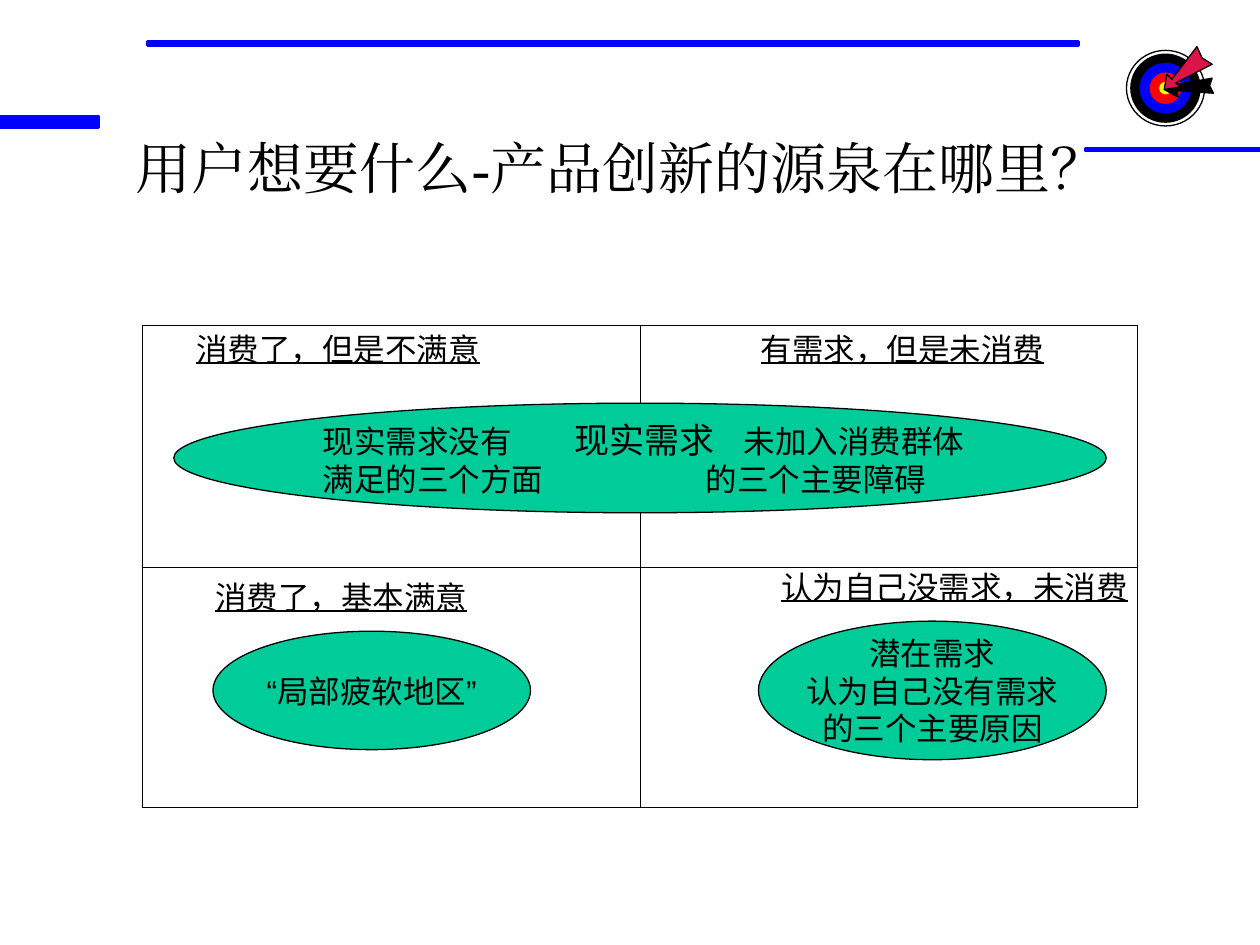
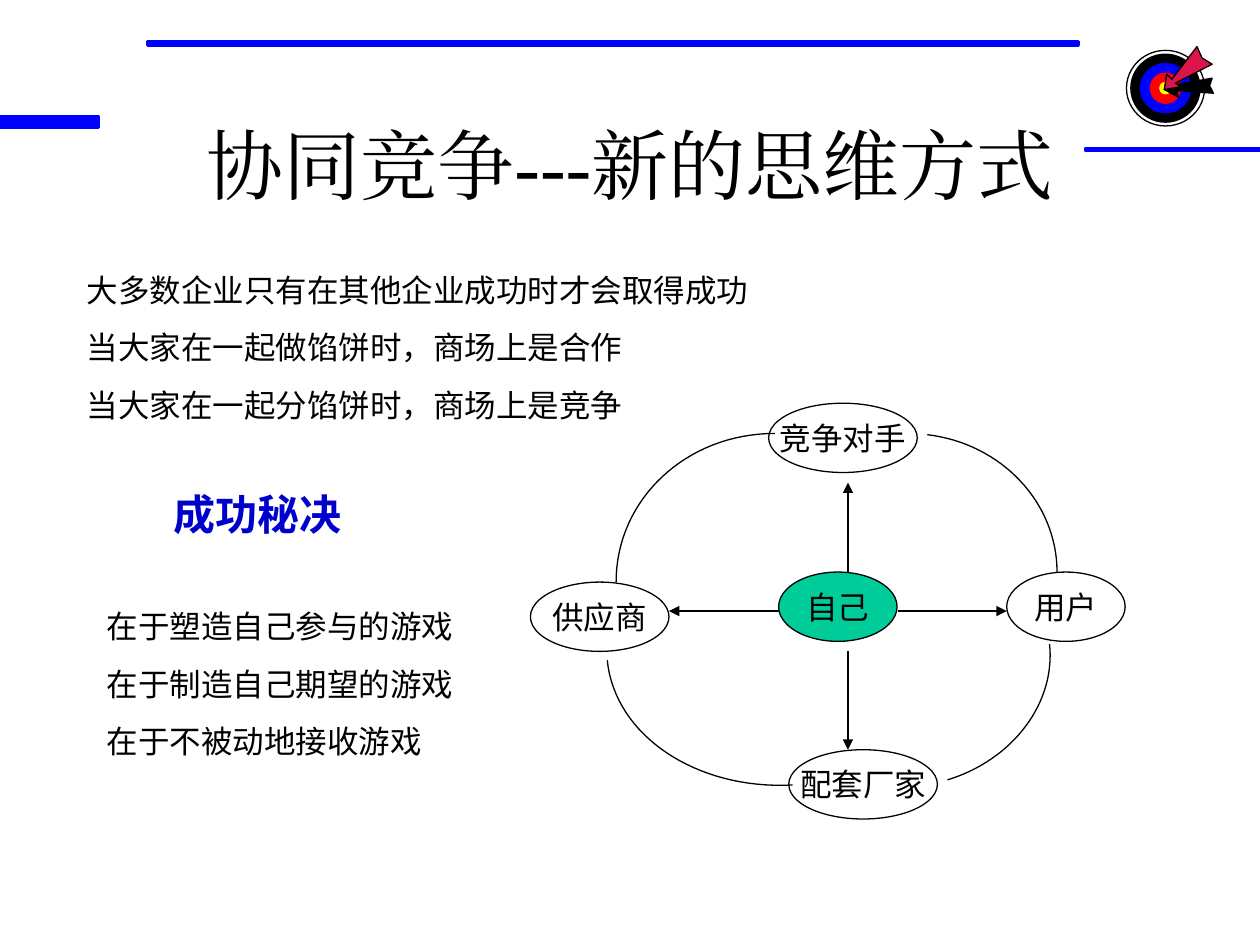
from dataclasses import dataclass

from lxml import etree
from pptx import Presentation
from pptx import util as u
from pptx.dml.color import RGBColor
from pptx.enum import shapes, text
from pptx.oxml import ns


@dataclass(frozen=True)
class Theme:
    black: str = "000000"
    white: str = "FFFFFF"
    blue: str = "0000FF"
    red: str = "FF0000"
    yellow: str = "FFFF00"
    crimson: str = "DB1549"
    green: str = "00CC99"
    accent: str = "0000CC"
    body_font: str = "DejaVu Sans"
    quote_font: str = "Arial"
    title_font: str = "Times New Roman"
    body: float = 18
    emphasis: float = 20
    heading: float = 24
    question: float = 32
    title: float = 44
    thin: float = 0.75
    grid: float = 0.45
    band: float = 1.47
    gap: float = 11.2


CENTER = text.PP_ALIGN.CENTER
LEFT = text.PP_ALIGN.LEFT


def lengths(*values):
    return [u.Inches(value) for value in values]


def child(parent, tag, **attributes):
    return etree.SubElement(parent, ns.qn(tag), attributes)


class Painter:
    def __init__(self, deck, theme):
        self.deck = deck
        self.theme = theme
        self.page = None

    def new_page(self):
        self.page = self.deck.slides.add_slide(self.deck.slide_layouts[6])
        for band in ((0, 0.92, 0.78, 0.09), (1.17, 0.33, 7.39, 0.03), (8.61, 1.18, 1.39, 0.02)):
            self.shape(band, self.theme.blue, self.theme.blue, self.theme.band,
                       kind=shapes.MSO_SHAPE.RECTANGLE)
        self.target()

    def paint(self, shape, fill=None, line=None, width=None):
        shape.shadow.inherit = False
        if fill:
            shape.fill.solid()
            shape.fill.fore_color.rgb = RGBColor.from_string(fill)
        else:
            shape.fill.background()
        if line:
            shape.line.color.rgb = RGBColor.from_string(line)
            shape.line.width = u.Pt(width or self.theme.thin)
        else:
            shape.line.fill.background()
        return shape

    def shape(self, frame, fill, line=None, width=None, kind=shapes.MSO_SHAPE.OVAL, parent=None):
        parent = parent or self.page.shapes
        return self.paint(parent.add_shape(kind, *lengths(*frame)), fill, line, width)

    def outline(self, points, fill=None, close=True, parent=None):
        parent = parent or self.page.shapes
        start, *rest = [lengths(*point) for point in points]
        builder = parent.build_freeform(*start)
        builder.add_line_segments(rest, close=close)
        return self.paint(builder.convert_to_shape(), fill, self.theme.black)

    def target(self):
        theme = self.theme
        parts = self.page.shapes.add_group_shape().shapes
        rings = (
            (0.62, 0.6, theme.white, theme.black),
            (0.56, 0.55, theme.black, None),
            (0.41, 0.4, theme.blue, None),
            (0.25, 0.25, theme.red, None),
            (0.1, 0.1, theme.yellow, None),
        )
        for width, height, fill, line in rings:
            frame = (9.25 - width / 2, 0.7 - height / 2, width, height)
            self.shape(frame, fill, line, parent=parts)
        dart_shadow = [(9.24, 0.71), (9.33, 0.62), (9.34, 0.67), (9.62, 0.62),
                       (9.6, 0.68), (9.63, 0.74), (9.34, 0.72), (9.35, 0.77)]
        dart = [(9.24, 0.71), (9.26, 0.59), (9.3, 0.63), (9.5, 0.37), (9.54, 0.46),
                (9.62, 0.51), (9.33, 0.66), (9.37, 0.69)]
        self.outline(dart_shadow, theme.black, parent=parts)
        self.outline(dart, theme.crimson, parent=parts)

    def curve(self, *controls):
        steps = 32
        points = []
        for step in range(steps + 1):
            t = step / steps
            weights = ((1 - t) ** 3, 3 * t * (1 - t) ** 2, 3 * t ** 2 * (1 - t), t ** 3)
            points.append([sum(w * c for w, c in zip(weights, axis)) for axis in zip(*controls)])
        self.outline(points, close=False)

    def span(self, para, words, size=None, font=None, color=None, bold=False, underline=False):
        span = para.add_run()
        span.text = words
        style = span.font
        style.size = u.Pt(size or self.theme.body)
        style.bold = bold
        style.underline = underline
        style.color.rgb = RGBColor.from_string(color or self.theme.black)
        style.name = font or self.theme.body_font
        span._r.get_or_add_rPr().find(ns.qn("a:latin")).addnext(
            etree.Element(ns.qn("a:ea"), typeface=style.name))

    def paragraphs(self, box, lines, align=LEFT, gap=0, tabs=(), **style):
        frame = box.text_frame
        for index, line in enumerate(lines):
            para = frame.add_paragraph() if index else frame.paragraphs[0]
            para.alignment = align
            if index:
                para.space_before = u.Pt(gap)
            if tabs:
                stops = child(para._p.get_or_add_pPr(), "a:tabLst")
                for stop in tabs[index]:
                    child(stops, "a:tab", pos=str(u.Inches(stop)), algn="l")
            for words, extra in [(line, {})] if isinstance(line, str) else line:
                self.span(para, words, **{**style, **extra})

    def text_box(self, frame, lines, anchor=text.MSO_ANCHOR.TOP, **style):
        box = self.page.shapes.add_textbox(*lengths(*frame))
        box.text_frame.word_wrap = True
        box.text_frame.vertical_anchor = anchor
        self.paragraphs(box, lines, **style)

    def title(self, frame, words, size):
        self.text_box(frame, [words], text.MSO_ANCHOR.MIDDLE, align=CENTER,
                      size=size, font=self.theme.title_font)

    def ellipse(self, frame, lines, fill, align=CENTER, wrap=False, **style):
        oval = self.shape(frame, fill, self.theme.black)
        oval.text_frame.word_wrap = wrap
        oval.text_frame.vertical_anchor = text.MSO_ANCHOR.MIDDLE
        if wrap:
            oval.text_frame.margin_right = 0
        self.paragraphs(oval, lines, align=align, **style)

    def arrow(self, start, end):
        arrow = self.page.shapes.add_connector(
            shapes.MSO_CONNECTOR.STRAIGHT, *lengths(*start, *end))
        arrow.line.color.rgb = RGBColor.from_string(self.theme.black)
        arrow.line.width = u.Pt(self.theme.thin)
        properties = arrow._element.spPr
        child(properties.find(ns.qn("a:ln")), "a:tailEnd", type="triangle")
        child(properties, "a:effectLst")

    def grid(self, frame, heights, columns):
        table = self.page.shapes.add_table(len(heights), columns, *lengths(*frame)).table
        table.first_row = table.horz_banding = False
        for row, height in zip(table.rows, heights):
            row.height = u.Inches(height)
        for cell in table.iter_cells():
            cell.fill.background()
            properties = cell._tc.get_or_add_tcPr()
            for index, side in enumerate(("a:lnL", "a:lnR", "a:lnT", "a:lnB")):
                border = etree.Element(ns.qn(side), w=str(u.Pt(self.theme.grid)))
                child(child(border, "a:solidFill"), "a:srgbClr", val=self.theme.black)
                properties.insert(index, border)


def demand_page(painter):
    theme = painter.theme
    painter.new_page()
    painter.title((0.39, 0.7, 9.08, 1.25), "用户想要什么-产品创新的源泉在哪里？", theme.question)
    painter.grid((1.13, 2.58, 7.9, 3.83), (1.92, 1.91), 2)
    quadrants = (
        (1.46, 2.57, 2.68, "消费了，但是不满意"),
        (1.61, 4.54, 2.68, "消费了，基本满意"),
        (6.1, 4.46, 2.99, "认为自己没需求，未消费"),
        (5.94, 2.57, 2.68, "有需求，但是未消费"),
    )
    for left, top, width, words in quadrants:
        painter.text_box((left, top, width, 0.4), [words], underline=True)
    real_demand = [
        [("现实需求没有\t", {}), ("现实需求", {"size": theme.emphasis}), ("\t未加入消费群体", {})],
        "满足的三个方面\t的三个主要障碍",
    ]
    painter.ellipse((1.38, 3.2, 7.4, 0.87), real_demand, theme.green, align=LEFT, wrap=True,
                    tabs=((2, 3.34), (3.04,)))
    quote = {"font": theme.quote_font}
    painter.ellipse((1.69, 5.01, 2.52, 0.94),
                    [[("“", quote), ("局部疲软地区", {}), ("”", quote)]], theme.green)
    painter.ellipse((6.02, 4.93, 2.76, 1.1),
                    ["潜在需求", "认为自己没有需求", "的三个主要原因"], theme.green)


def cooperation_page(painter):
    theme = painter.theme
    painter.new_page()
    painter.title((0.75, 0.67, 8.5, 1.25), "协同竞争---新的思维方式", theme.title)
    players = (
        (6.18, 4.54, 0.94, "自己", theme.green),
        (7.99, 4.54, 0.94, "用户", theme.white),
        (6.26, 5.95, 1.18, "配套厂家", theme.white),
        (4.21, 4.62, 1.1, "供应商", theme.white),
        (6.1, 3.2, 1.18, "竞争对手", theme.white),
    )
    for left, top, width, name, fill in players:
        painter.ellipse((left, top, width, 0.55), [name], fill)
    painter.curve((7.36, 3.45), (7.95, 3.52), (8.39, 3.99), (8.39, 4.54))
    painter.curve((7.52, 6.19), (8.04, 6.03), (8.38, 5.58), (8.33, 5.11))
    painter.curve((6.15, 3.44), (5.45, 3.44), (4.89, 3.96), (4.89, 4.62))
    painter.curve((6.29, 6.23), (5.53, 6.27), (4.88, 5.84), (4.82, 5.24))
    for start, end in ((5.17, 5.95), (4.54, 3.83)):
        painter.arrow((6.73, start), (6.73, end))
    for start, end in ((7.13, 7.99), (6.18, 5.31)):
        painter.arrow((start, 4.85), (end, 4.85))
    painter.text_box((0.59, 2.1, 5.75, 1.32), [
        "大多数企业只有在其他企业成功时才会取得成功",
        "当大家在一起做馅饼时，商场上是合作",
        "当大家在一起分馅饼时，商场上是竞争",
    ], gap=theme.gap)
    painter.text_box((1.14, 3.83, 1.81, 0.5), ["成功秘决"], align=CENTER,
                     size=theme.heading, color=theme.accent, bold=True)
    painter.text_box((0.75, 4.77, 3.54, 1.32), [
        "在于塑造自己参与的游戏",
        "在于制造自己期望的游戏",
        "在于不被动地接收游戏",
    ], gap=theme.gap)


def main():
    deck = Presentation()
    deck.slide_width, deck.slide_height = lengths(10, 7.5)
    painter = Painter(deck, Theme())
    demand_page(painter)
    cooperation_page(painter)
    deck.save("out.pptx")


if __name__ == "__main__":
    main()
